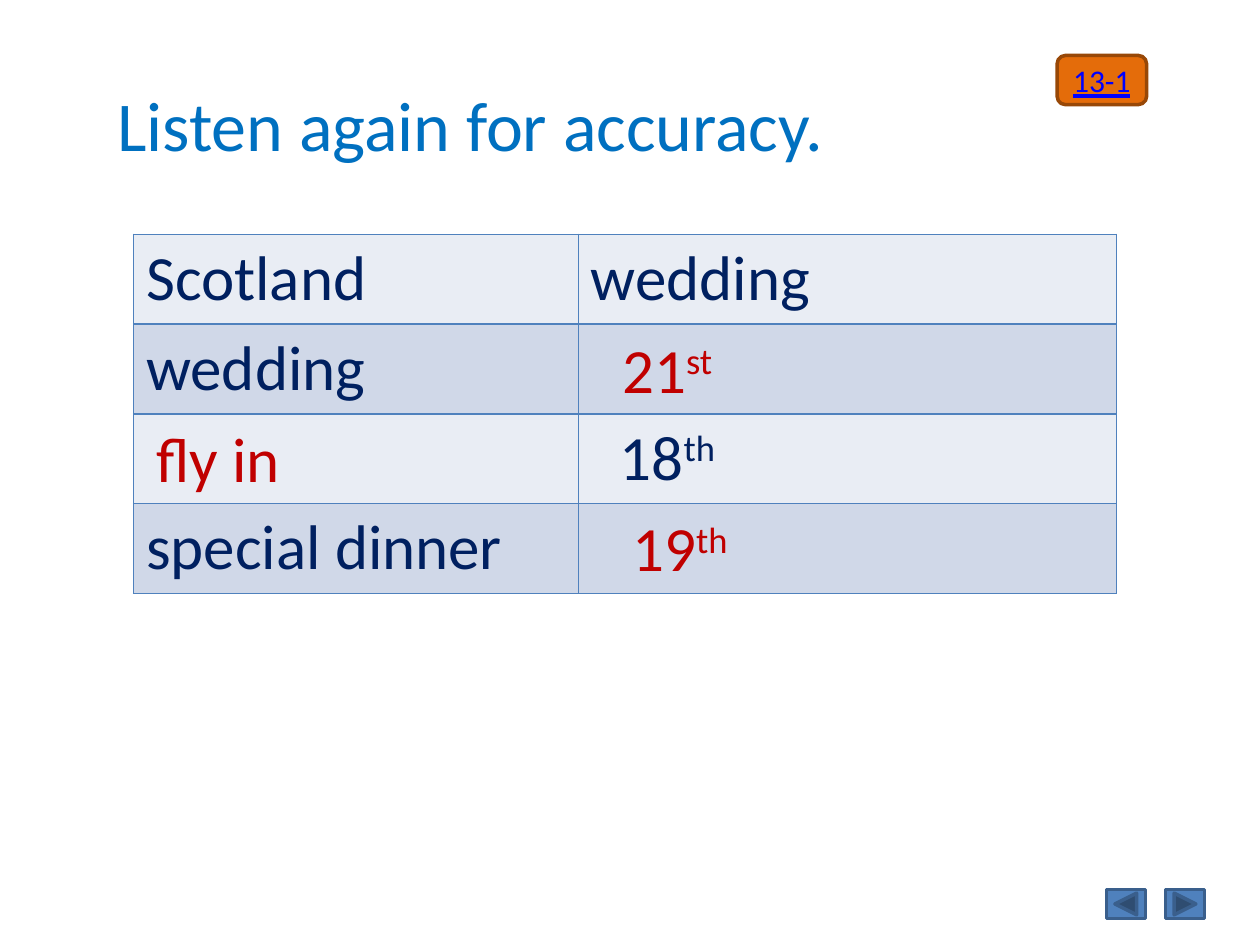
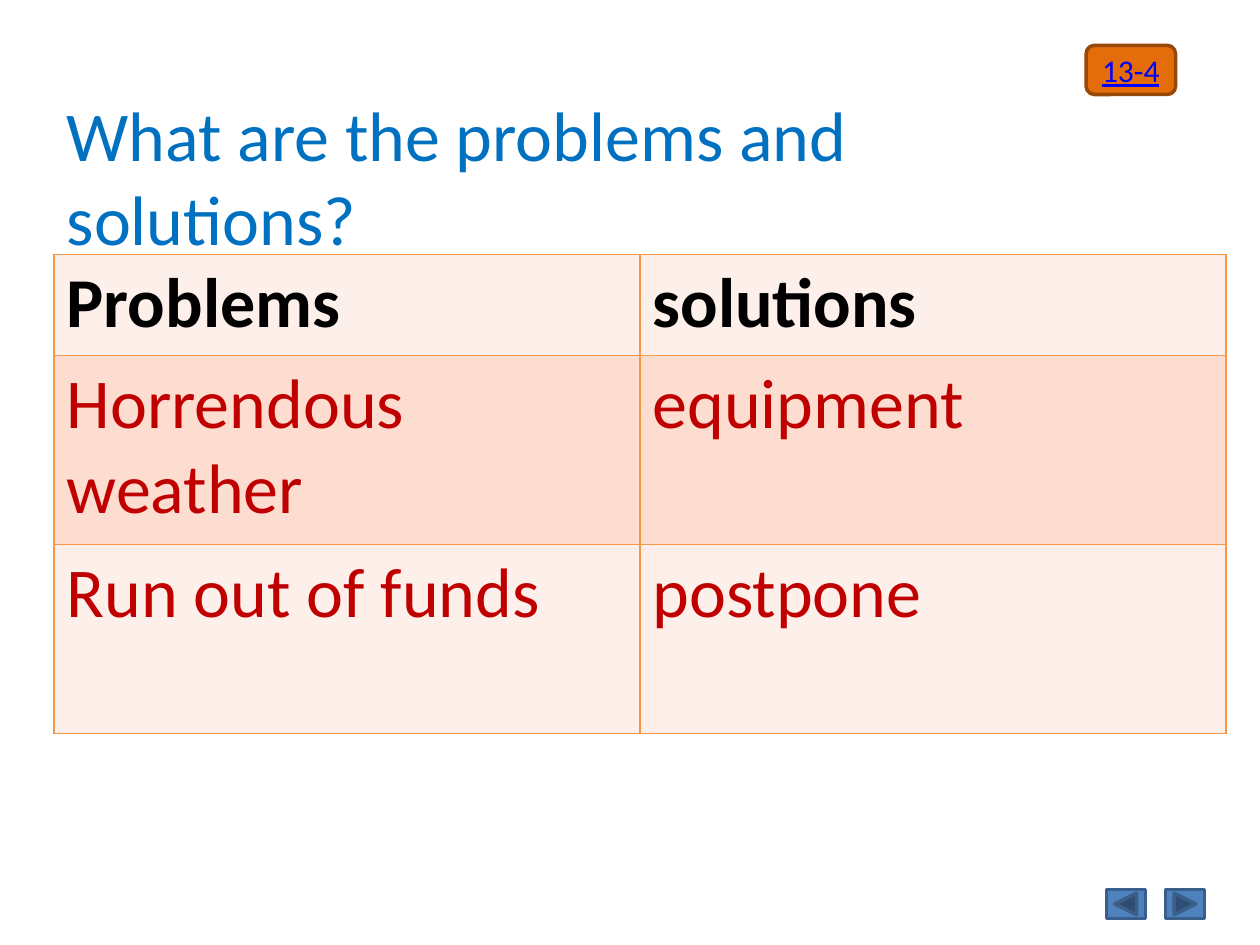
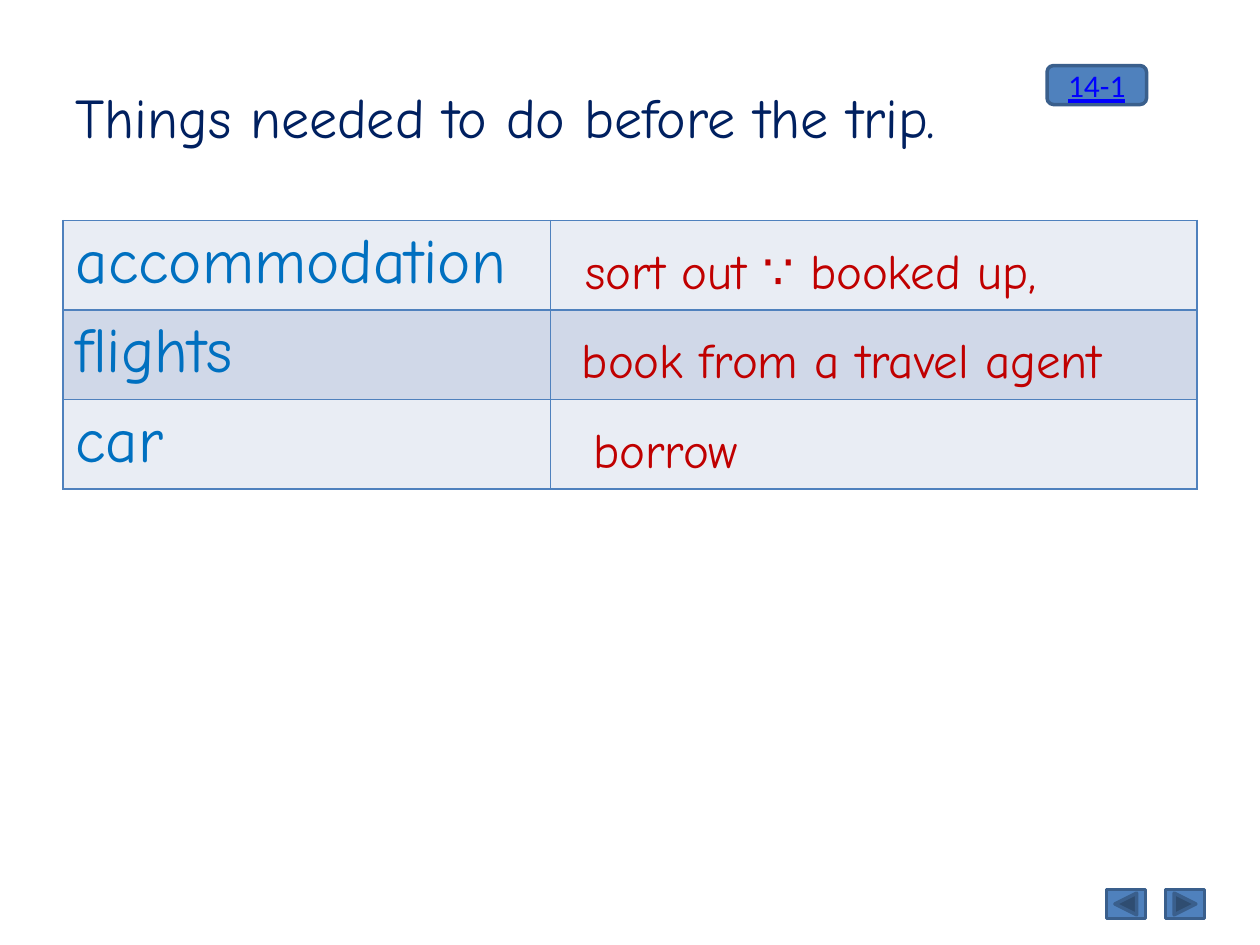
from lxml.etree import SubElement
from pptx import Presentation
from pptx.dml.color import RGBColor
from pptx.enum.shapes import MSO_SHAPE
from pptx.enum.text import MSO_ANCHOR, MSO_AUTO_SIZE, PP_ALIGN
from pptx.oxml import parse_xml
from pptx.oxml.ns import nsdecls, qn
from pptx.util import Inches, Pt

NAVY = RGBColor(0x00, 0x20, 0x60)
SKY = RGBColor(0x00, 0x70, 0xC0)
RED = RGBColor(0xC0, 0x00, 0x00)
BLACK = RGBColor(0x00, 0x00, 0x00)
LINK = RGBColor(0x00, 0x00, 0xFF)
BLUE = RGBColor(0x4F, 0x81, 0xBD)
STEEL = RGBColor(0x3A, 0x5F, 0x8C)
RUST = RGBColor(0xE4, 0x6C, 0x0A)
BROWN = RGBColor(0x98, 0x48, 0x07)
AMBER = RGBColor(0xF7, 0x96, 0x46)
COOL = (RGBColor(0xE9, 0xED, 0xF4), RGBColor(0xD0, 0xD8, 0xE8))
WARM = (RGBColor(0xFD, 0xEF, 0xE9), RGBColor(0xFC, 0xDD, 0xCF))

SANS = "Calibri"
COMIC = "Comic Neue"

PAGES = [
    {
        "title": ("Listen again for accuracy.", (0.83, 0.6, 7.48, 0.77), MSO_ANCHOR.TOP,
                  {"name": SANS, "size": Pt(40)}, SKY),
        "grid": (1.06, 1.86), "cols": [3.53, 4.27], "rows": [0.7] * 4,
        "cells": [["Scotland", "wedding"], ["wedding", ""],
                  ["", "18^th"], ["special dinner", ""]],
        "look": {"name": SANS, "size": Pt(36), "bold": False},
        "inks": [NAVY] * 4, "fills": COOL, "edge": BLUE,
        "notes": [("21^st", 4.84, 2.57, 1.07, 0.71), ("19^th", 4.92, 3.99, 1, 0.71),
                  ("fly in", 1.14, 3.28, 1.19, 0.71)],
        "tag": ("13-1", (8.39, 0.44, 0.71, 0.39), RUST, BROWN),
    },
    {
        "title": ("What are the problems and solutions?", (0.43, 0.68, 8.66, 0.77),
                  MSO_ANCHOR.TOP, {"name": SANS, "size": Pt(40)}, SKY),
        "grid": (0.43, 2.02), "cols": [4.65, 4.65], "rows": [0.8, 1.5, 1.5],
        "cells": [["Problems", "solutions"], ["Horrendous weather", "equipment"],
                  ["Run out of funds", "postpone"]],
        "look": {"name": SANS, "size": Pt(40), "bold": False},
        "inks": [BLACK, RED, RED], "fills": WARM, "edge": AMBER,
        "notes": [],
        "tag": ("13-4", (8.62, 0.36, 0.71, 0.39), RUST, BROWN),
    },
    {
        "title": ("Things needed to do before the trip.", (0.5, 0.3, 9.5, 1.25),
                  MSO_ANCHOR.MIDDLE, {"name": COMIC, "size": Pt(32)}, NAVY),
        "grid": (0.5, 1.75), "cols": [3.87, 5.13], "rows": [0.71] * 3,
        "cells": [["accommodation", ""], ["flights", ""], ["car", ""]],
        "look": {"name": COMIC, "size": Pt(36), "bold": False},
        "inks": [SKY] * 3, "fills": COOL, "edge": BLUE,
        "notes": [("book from a travel agent", 4.52, 2.57, 4.8, 0.57),
                  ("sort out ∵ booked up,", 4.55, 1.86, 5.18, 0.57),
                  ("borrow", 4.61, 3.28, 1.5, 0.57)],
        "note look": {"name": COMIC, "size": Pt(28)},
        "tag": ("14-1", (8.31, 0.52, 0.79, 0.31), BLUE, STEEL),
    },
]


def write(frame, text, look, ink):
    base, _, power = text.partition("^")
    for part in filter(None, (base, power)):
        run = frame.paragraphs[0].add_run()
        run.text = part
        for key, value in look.items():
            setattr(run.font, key, value)
        run.font.color.rgb = ink
        if part is power:
            run.font._element.set("baseline", "30000")


def draw(slide, kind, box, fill, edge):
    shape = slide.shapes.add_shape(kind, *map(Inches, box))
    shape.shadow.inherit = False
    shape.fill.solid()
    shape.fill.fore_color.rgb = fill
    shape.line.color.rgb = edge
    shape.line.width = Pt(2)
    return shape


deck = Presentation()
deck.slide_width, deck.slide_height = Inches(10), Inches(7.5)

for page in PAGES:
    slide = deck.slides.add_slide(deck.slide_layouts[5])

    text, box, anchor, look, ink = page["title"]
    title = slide.shapes.title
    title.left, title.top, title.width, title.height = map(Inches, box)
    frame = title.text_frame
    frame.auto_size = MSO_AUTO_SIZE.NONE
    frame.vertical_anchor = anchor
    frame.paragraphs[0].alignment = PP_ALIGN.LEFT
    write(frame, text, look, ink)

    cols, rows = page["cols"], page["rows"]
    size = (*page["grid"], sum(cols), sum(rows))
    table = slide.shapes.add_table(len(rows), len(cols), *map(Inches, size)).table
    table.first_row = table.horz_banding = False
    for col, wide in zip(table.columns, cols):
        col.width = Inches(wide)
    for r, (row, high) in enumerate(zip(table.rows, rows)):
        row.height = Inches(high)
        for cell, text in zip(row.cells, page["cells"][r]):
            cell.fill.solid()
            cell.fill.fore_color.rgb = page["fills"][r % 2]
            look = page["look"] | {"bold": page["inks"][r] == BLACK}
            write(cell.text_frame, text, look, page["inks"][r])
            if "^" in text:
                cell.margin_left = Inches(0.33)
            for i, side in enumerate(("lnL", "lnR", "lnT", "lnB")):
                line = parse_xml(f'<a:{side} {nsdecls("a")} w="12700"/>')
                paint = SubElement(line, qn("a:solidFill"))
                SubElement(paint, qn("a:srgbClr"), val=str(page["edge"]))
                cell._tc.get_or_add_tcPr().insert(i, line)

    for text, *box in page["notes"]:
        note = slide.shapes.add_textbox(*map(Inches, box))
        note.text_frame.word_wrap = box[2] > 2
        note.text_frame.auto_size = MSO_AUTO_SIZE.SHAPE_TO_FIT_TEXT
        write(note.text_frame, text, page.get("note look", page["look"]), RED)

    text, box, fill, edge = page["tag"]
    tag = draw(slide, MSO_SHAPE.ROUNDED_RECTANGLE, box, fill, edge)
    tag.text_frame.vertical_anchor = MSO_ANCHOR.MIDDLE
    tag.text_frame.paragraphs[0].alignment = PP_ALIGN.CENTER
    write(tag.text_frame, text, {"name": SANS, "size": Pt(18), "underline": True}, LINK)

    for left, kind in ((8.78, MSO_SHAPE.ACTION_BUTTON_BACK_OR_PREVIOUS),
                       (9.25, MSO_SHAPE.ACTION_BUTTON_FORWARD_OR_NEXT)):
        draw(slide, kind, (left, 7.06, 0.31, 0.23), BLUE, STEEL)

deck.save("out.pptx")
